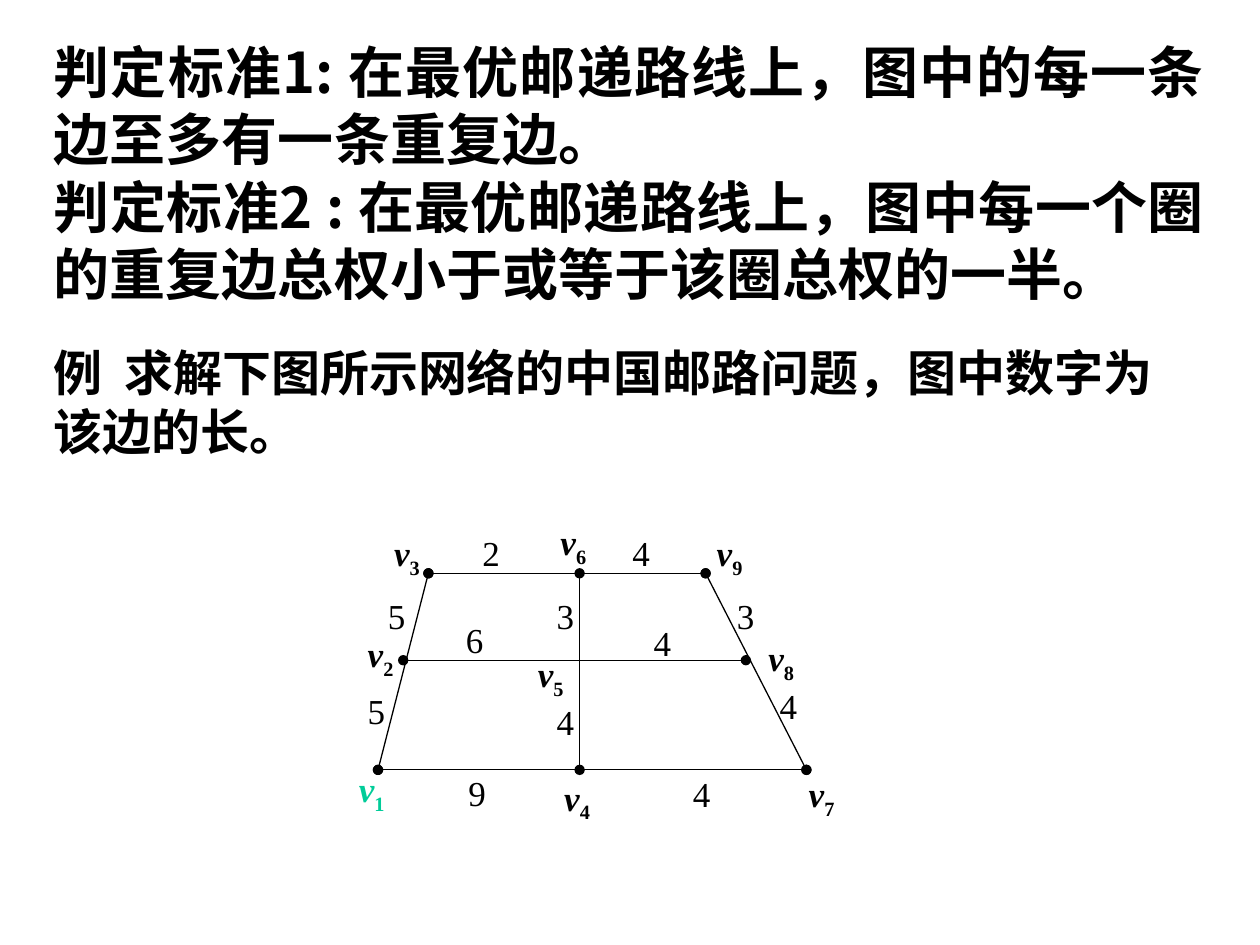
from dataclasses import dataclass

from lxml import etree
from pptx import Presentation
from pptx import util as u
from pptx.dml.color import RGBColor
from pptx.enum import shapes, text
from pptx.oxml.ns import qn


@dataclass(frozen=True)
class Theme:
    ink: RGBColor = RGBColor(0x00, 0x00, 0x00)
    start: RGBColor = RGBColor(0x00, 0xCC, 0x99)
    chinese: str = "Noto Sans CJK SC"
    latin: str = "Times New Roman"
    criterion_size: int = 32
    example_size: int = 28
    label_size: int = 20
    edge_width: float = 0.75


@dataclass(frozen=True)
class Edge:
    start: tuple[float, float]
    end: tuple[float, float]


@dataclass(frozen=True)
class Label:
    left: float
    top: float
    word: str
    width: float = 0.6


THEME = Theme()
LABEL_HEIGHT = 0.52

CRITERIA = (
    "判定标准1: 在最优邮递路线上，图中的每一条边至多有一条重复边。",
    "判定标准2 : 在最优邮递路线上，图中每一个圈的重复边总权小于或等于该圈总权的一半。",
)
EXAMPLE = "例\t求解下图所示网络的中国邮路问题，图中数字为该边的长。"
EXAMPLE_TAB = 0.56

TOP, MIDDLE, BOTTOM = 4.55, 5.24, 6.11
V1, V3, V7, V9 = (3, BOTTOM), (3.4, TOP), (6.4, BOTTOM), (5.6, TOP)
EDGES = (
    Edge((3.2, MIDDLE), (5.92, MIDDLE)),
    Edge(V3, V9),
    Edge(V1, V7),
    Edge(V7, V9),
    Edge(V3, V1),
    Edge((4.6, TOP), (4.6, BOTTOM)),
)
VERTICES = (
    Label(2.75, 6.04, "1", 0.8),
    Label(2.82, 4.97, "2"),
    Label(3.03, 4.17, "3", 0.8),
    Label(4.38, 6.11, "4"),
    Label(4.17, 5.13, "5"),
    Label(4.35, 4.08, "6"),
    Label(6.32, 6.08, "7"),
    Label(6, 5, "8"),
    Label(5.59, 4.17, "9"),
)
LENGTHS = (
    Label(3.73, 4.17, "2"),
    Label(4.92, 4.17, "4"),
    Label(5.75, 4.67, "3"),
    Label(6.09, 5.38, "4"),
    Label(5.4, 6.08, "4"),
    Label(3.62, 6.07, "9"),
    Label(2.82, 5.42, "5"),
    Label(2.98, 4.67, "5"),
    Label(3.6, 4.86, "6"),
    Label(5.09, 4.88, "4"),
    Label(4.32, 4.67, "3"),
    Label(4.32, 5.51, "4"),
)


def add_frame(parent, left: float, top: float, width: float, height: float):
    frame = parent.add_textbox(
        u.Inches(left), u.Inches(top), u.Inches(width), u.Inches(height)
    ).text_frame
    frame.word_wrap = True
    return frame


def add_run(paragraph, words: str, face: str, size: int,
            color: RGBColor = THEME.ink, bold: bool = False, italic: bool = False):
    run = paragraph.add_run()
    run.text = words
    font = run.font
    font.name, font.size, font.bold, font.italic = face, u.Pt(size), bold, italic
    font.color.rgb = color
    etree.SubElement(font._element, qn("a:ea"), typeface=face)
    return run


def add_criteria(parent) -> None:
    frame = add_frame(parent, 0.33, 0.25, 9.33, 2.24)
    frame.auto_size = text.MSO_AUTO_SIZE.SHAPE_TO_FIT_TEXT
    for index, criterion in enumerate(CRITERIA):
        paragraph = frame.add_paragraph() if index else frame.paragraphs[0]
        paragraph.alignment = text.PP_ALIGN.JUSTIFY
        add_run(paragraph, criterion, THEME.chinese, THEME.criterion_size, bold=True)


def add_example(parent) -> None:
    frame = add_frame(parent, 0.33, 2.67, 9.17, 1.04)
    frame.auto_size = text.MSO_AUTO_SIZE.SHAPE_TO_FIT_TEXT
    paragraph = frame.paragraphs[0]
    tabs = etree.SubElement(paragraph._p.get_or_add_pPr(), qn("a:tabLst"))
    etree.SubElement(tabs, qn("a:tab"), pos=str(u.Inches(EXAMPLE_TAB)), algn="l")
    add_run(paragraph, EXAMPLE, THEME.chinese, THEME.example_size, bold=True)


def add_edge(parent, edge: Edge) -> None:
    """Draw an edge whose oval ends stand for its vertices."""
    ends = [u.Inches(value) for value in (*edge.start, *edge.end)]
    connector = parent.add_connector(shapes.MSO_CONNECTOR.STRAIGHT, *ends)
    connector.line.color.rgb = THEME.ink
    connector.line.width = u.Pt(THEME.edge_width)
    outline = connector.line._get_or_add_ln()
    for end in ("a:headEnd", "a:tailEnd"):
        etree.SubElement(outline, qn(end), type="oval")
    etree.SubElement(connector._element.spPr, qn("a:effectLst"))


def add_label(parent, label: Label):
    frame = add_frame(parent, label.left, label.top, label.width, LABEL_HEIGHT)
    paragraph = frame.paragraphs[0]
    paragraph.alignment = text.PP_ALIGN.JUSTIFY
    return paragraph


def add_vertex(parent, label: Label) -> None:
    paragraph = add_label(parent, label)
    color = THEME.start if label.word == "1" else THEME.ink
    add_run(paragraph, "v", THEME.latin, THEME.label_size, color, bold=True, italic=True)
    subscript = add_run(paragraph, label.word, THEME.latin, THEME.label_size, color, bold=True)
    subscript.font._element.set("baseline", "-25000")


def add_length(parent, label: Label) -> None:
    add_run(add_label(parent, label), label.word, THEME.latin, THEME.label_size)


def main() -> None:
    deck = Presentation()
    deck.slide_width, deck.slide_height = u.Inches(10), u.Inches(7.5)
    slide = deck.slides.add_slide(deck.slide_layouts[6])
    add_criteria(slide.shapes)
    add_example(slide.shapes)
    network = slide.shapes.add_group_shape().shapes
    for edge in EDGES:
        add_edge(network, edge)
    for vertex in VERTICES:
        add_vertex(network, vertex)
    for length in LENGTHS:
        add_length(network, length)
    deck.save("out.pptx")


if __name__ == "__main__":
    main()
